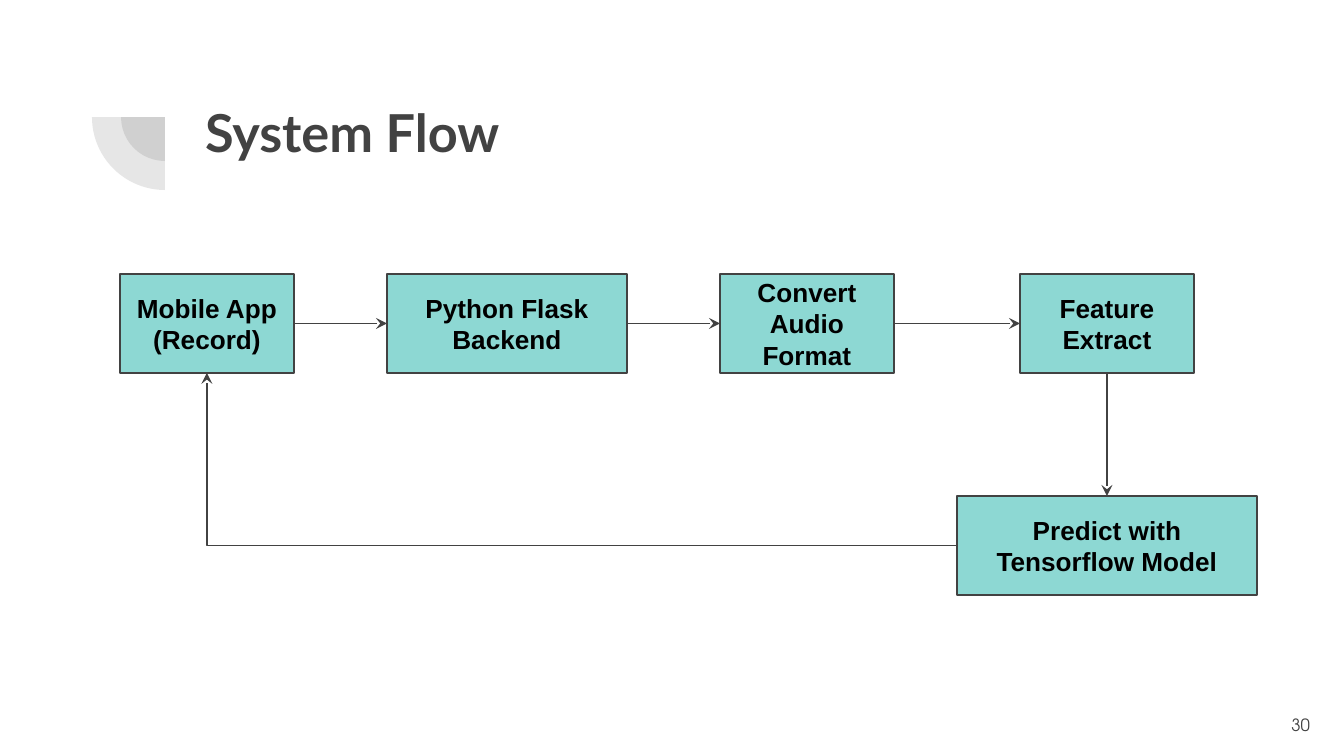
from itertools import pairwise

from lxml.etree import SubElement
from pptx import Presentation
from pptx.dml.color import RGBColor
from pptx.enum.shapes import MSO_CONNECTOR as LINK, MSO_SHAPE as SHAPE
from pptx.enum.text import MSO_ANCHOR as ANCHOR, PP_ALIGN as ALIGN
from pptx.oxml.ns import qn
from pptx.util import Pt

PX = 914400 / 134.4
INSET = 13
TOP, LEFT, BOTTOM, RIGHT = range(4)

GRAY = RGBColor(0x42, 0x42, 0x42)
TEAL = RGBColor(0x8D, 0xD8, 0xD3)
BLACK = RGBColor(0, 0, 0)


def px(*lengths):
    return [round(length * PX) for length in lengths]


def write(shape, text, font, size, color, bold=False, align=ALIGN.LEFT, anchor=ANCHOR.MIDDLE):
    frame = shape.text_frame
    frame.text = text
    frame.word_wrap = True
    frame.vertical_anchor = anchor
    inset, = px(INSET)
    frame.margin_left = frame.margin_right = inset
    frame.margin_top = frame.margin_bottom = inset
    paragraph = frame.paragraphs[0]
    paragraph.alignment = align
    style = paragraph.runs[0].font
    style.name, style.size, style.bold = font, Pt(size), bold
    style.color.rgb = color


def add_quarter(slide, center_x, center_y, radius):
    quarter = slide.shapes.add_shape(
        SHAPE.PIE, *px(center_x - radius, center_y - radius, 2 * radius, 2 * radius))
    quarter.shadow.inherit = False
    quarter.rotation = 270
    quarter.adjustments[0], quarter.adjustments[1] = 108, 162
    quarter.fill.solid()
    quarter.fill.fore_color.rgb = GRAY
    color = quarter.fill._xPr.find(qn("a:solidFill"))[0]
    SubElement(color, qn("a:alpha"), val="13000")
    quarter.line.fill.background()


def add_header(slide, left, top, width, height):
    for radius in (44, 73):
        add_quarter(slide, left + 73, top + 73, radius)
    title = slide.shapes.add_textbox(*px(left + 100, top + 43, width - 100, height - 43))
    write(title, "System Flow", "Lato", 28, GRAY, bold=True, anchor=ANCHOR.TOP)


def add_step(slide, text, left, top, width, height):
    step = slide.shapes.add_shape(SHAPE.RECTANGLE, *px(left, top, width, height))
    step.shadow.inherit = False
    step.fill.solid()
    step.fill.fore_color.rgb = TEAL
    step.line.color.rgb = GRAY
    step.line.width = Pt(0.75)
    write(step, text, "Arial", 14, BLACK, bold=True, align=ALIGN.CENTER)
    return step


def add_arrow(slide, source, source_side, target, target_side, kind=LINK.STRAIGHT):
    arrow = slide.shapes.add_connector(kind, 0, 0, 0, 0)
    arrow.begin_connect(source, source_side)
    arrow.end_connect(target, target_side)
    arrow.line.color.rgb = GRAY
    arrow.line.width = Pt(0.75)
    SubElement(arrow.line._get_or_add_ln(), qn("a:tailEnd"), type="stealth")
    properties = arrow._element.spPr
    SubElement(properties, qn("a:effectLst"))
    if kind == LINK.ELBOW:
        properties.find(qn("a:prstGeom")).set("prst", "bentConnector2")


def add_flow(slide, left, top, width, height):
    step_height = 99
    row = [add_step(slide, text, left + offset, top, step_width, step_height)
           for text, offset, step_width in (
               ("Mobile App (Record)", 0, 174),
               ("Python Flask Backend", 267, 240),
               ("Convert Audio Format", 600, 174),
               ("Feature Extract", 900, 174))]
    predict = add_step(slide, "Predict with Tensorflow Model",
                       left + width - 300, top + height - step_height, 300, step_height)
    for source, target in pairwise(row):
        add_arrow(slide, source, RIGHT, target, LEFT)
    add_arrow(slide, row[-1], BOTTOM, predict, TOP)
    add_arrow(slide, predict, LEFT, row[0], BOTTOM, LINK.ELBOW)


def add_page_number(slide, left, top, width, height):
    number = slide.shapes.add_textbox(*px(left, top, width, height))
    write(number, "30", "TeX Gyre Adventor", 9, GRAY, align=ALIGN.RIGHT)


def main():
    deck = Presentation()
    deck.slide_width, deck.slide_height = px(1344, 756)
    slide = deck.slides.add_slide(deck.slide_layouts[6])
    add_header(slide, 92, 44, 1134, 189)
    add_flow(slide, 120, 274, 1137, 321)
    add_page_number(slide, 1242, 696, 81, 58)
    deck.save("out.pptx")


if __name__ == "__main__":
    main()
